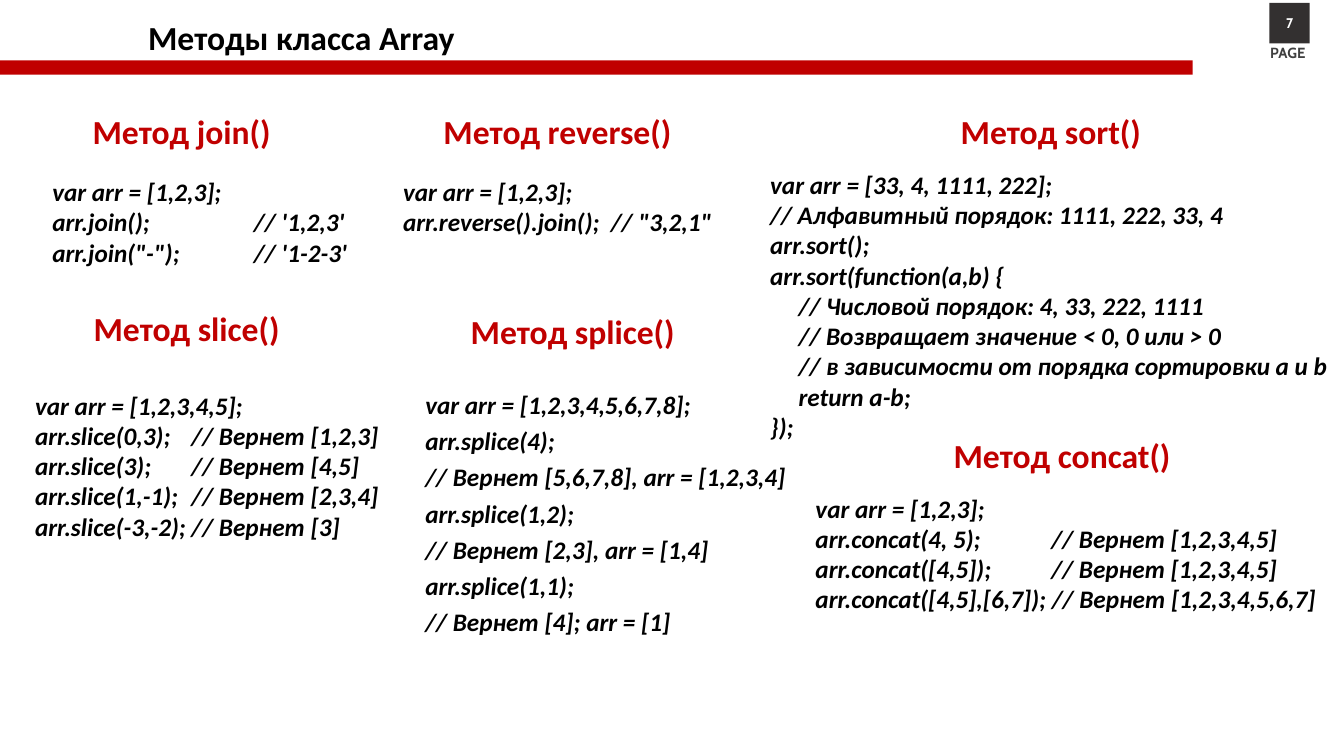
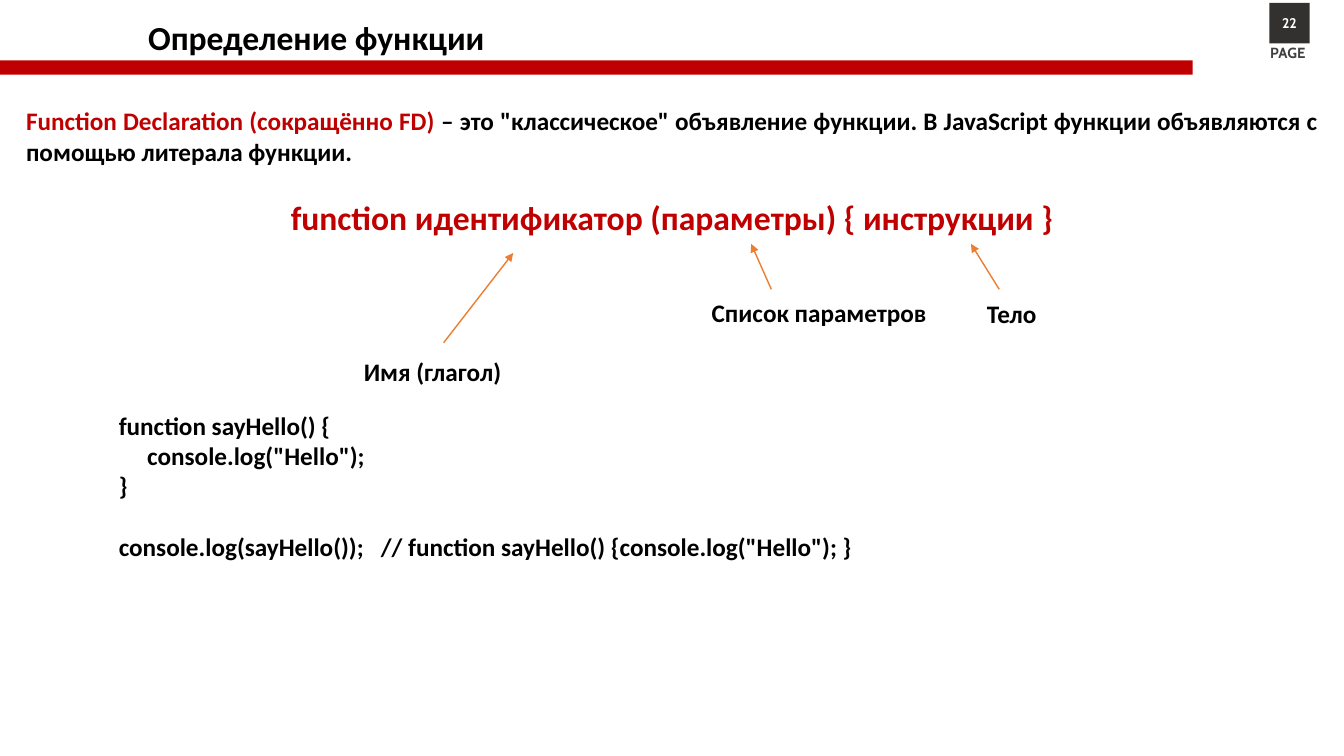
from dataclasses import dataclass

from lxml import etree
from pptx import Presentation
from pptx import util as u
from pptx.dml import color
from pptx.enum import shapes, text
from pptx.oxml import ns

HUES = {"red": "C00000", "black": "000000", "white": "FFFFFF",
        "dark": "333030", "grey": "404040", "arrow": "ED7D31"}
LEFT, MID, JUST = (text.PP_ALIGN.LEFT, text.PP_ALIGN.CENTER,
                   text.PP_ALIGN.JUSTIFY)
BLANK_ROW = 22
Area = tuple[float, float, float, float]


@dataclass(frozen=True)
class Style:
    size: float = 18
    hue: str = "black"
    slant: bool = False
    face: str = "Calibri"


@dataclass(frozen=True)
class Line:
    runs: tuple[tuple[str, Style], ...]
    gap: float = 0
    align: text.PP_ALIGN = LEFT


@dataclass(frozen=True)
class Box:
    area: Area
    lines: tuple[Line, ...]
    wrap: bool = True
    tab: float = 0
    indent: float = 0
    pitch: float = 1.0
    middle: bool = False


@dataclass(frozen=True)
class Method:
    name: str
    head: Area
    area: Area
    code: str
    tab: float = 0
    indent: float = 0
    pitch: float = 1.0


@dataclass(frozen=True)
class Arrow:
    start: tuple[float, float]
    end: tuple[float, float]


PLAIN = Style()
CODE = Style(slant=True)
TITLE = Style(24)
HEAD = Style(24, "red")
TERM = Style(18, "red")
PAGE = Style(10.5, "grey", face="Cabin")
NUMBER = Style(10, "white", face="Cabin")

METHODS = (
    Method("join", (0.82, 1.05, 1.98, 0.5), (0.42, 1.7, 3.19, 1.01),
           """var arr = [1,2,3];
arr.join();\t// '1,2,3'
arr.join("-");\t// '1-2-3'""", tab=2),
    Method("reverse", (4.3, 1.05, 2.48, 0.5), (3.9, 1.7, 4.24, 0.71),
           """var arr = [1,2,3];
arr.reverse().join();\t// "3,2,1\"""", tab=2.06),
    Method("sort", (9.43, 1.05, 2, 0.5), (7.54, 1.63, 5.78, 2.83),
           """var arr = [33, 4, 1111, 222];
// Алфавитный порядок: 1111, 222, 33, 4
arr.sort();
arr.sort(function(a,b) {
     // Числовой порядок: 4, 33, 222, 1111
     // Возвращает значение < 0, 0 или > 0
     // в зависимости от порядка сортировки a и b
     return a-b;
});"""),
    Method("concat", (9.36, 4.27, 2.37, 0.5), (7.99, 4.84, 5.23, 1.31),
           """var arr = [1,2,3];
arr.concat(4, 5);\t// Вернет [1,2,3,4,5]
arr.concat([4,5]);\t// Вернет [1,2,3,4,5]
arr.concat([4,5],[6,7]); // Вернет [1,2,3,4,5,6,7]""", tab=2.34),
    Method("slice", (0.83, 3.01, 2.06, 0.5), (0.25, 3.82, 3.73, 1.62),
           """var arr = [1,2,3,4,5];
arr.slice(0,3);\t// Вернет [1,2,3]
arr.slice(3);\t// Вернет [4,5]
arr.slice(1,-1);\t// Вернет [2,3,4]
arr.slice(-3,-2);\t// Вернет [3]""", tab=1.55),
    Method("splice", (4.57, 3.04, 2.24, 0.5), (3.88, 3.75, 6.67, 2.65),
           """var arr = [1,2,3,4,5,6,7,8];
arr.splice(4);
// Вернет [5,6,7,8], arr = [1,2,3,4]
arr.splice(1,2);
// Вернет [2,3], arr = [1,4]
arr.splice(1,1);
// Вернет [4]; arr = [1]""", indent=0.24, pitch=1.2),
)

HELLO = """function sayHello() {
     console.log("Hello");
}

console.log(sayHello());\t// function sayHello() {console.log("Hello"); }"""

LABELS = (
    ("Имя (глагол)", (3.51, 3.49, 1.58, 0.4)),
    ("Список параметров", (6.96, 2.9, 2.35, 0.4)),
    ("Тело", (9.69, 2.91, 0.7, 0.4)),
)
ARROWS = (
    Arrow((4.4, 3.4), (5.09, 2.51)),
    Arrow((9.91, 2.87), (9.63, 2.42)),
    Arrow((7.65, 2.87), (7.45, 2.42)),
)


def tint(name: str) -> color.RGBColor:
    return color.RGBColor.from_string(HUES[name])


def apply(item, **values) -> None:
    for key, value in values.items():
        setattr(item, key, value)


def single(words: str, style: Style, align: text.PP_ALIGN = LEFT) -> tuple[Line, ...]:
    return (Line(((words, style),), align=align),)


def listing(code: str, style: Style) -> tuple[Line, ...]:
    lines, gap = [], 0
    for row in code.split("\n"):
        if row:
            lines.append(Line(((row, style),), gap))
            gap = 0
        else:
            gap += BLANK_ROW
    return tuple(lines)


def fill_text(frame, box: Box) -> None:
    for index, line in enumerate(box.lines):
        para = frame.add_paragraph() if index else frame.paragraphs[0]
        props = para._p.get_or_add_pPr()
        if box.indent:
            props.set("marL", str(u.Inches(box.indent)))
        if box.tab:
            stops = etree.SubElement(props, ns.qn("a:tabLst"))
            etree.SubElement(stops, ns.qn("a:tab"),
                             pos=str(u.Inches(box.tab)), algn="l")
        apply(para, alignment=line.align, line_spacing=box.pitch)
        if line.gap:
            para.space_before = u.Pt(line.gap)
        for words, style in line.runs:
            run = para.add_run()
            run.text = words
            apply(run.font, name=style.face, size=u.Pt(style.size),
                  bold=True, italic=style.slant)
            run.font.color.rgb = tint(style.hue)


def add_text(slide, box: Box) -> None:
    frame = slide.shapes.add_textbox(*map(u.Inches, box.area)).text_frame
    anchor = text.MSO_ANCHOR.MIDDLE if box.middle else text.MSO_ANCHOR.TOP
    size = (text.MSO_AUTO_SIZE.NONE if box.middle
            else text.MSO_AUTO_SIZE.SHAPE_TO_FIT_TEXT)
    apply(frame, word_wrap=box.wrap, vertical_anchor=anchor, auto_size=size)
    fill_text(frame, box)


def add_block(slide, area: Area, hue: str):
    block = slide.shapes.add_shape(shapes.MSO_SHAPE.RECTANGLE,
                                   *map(u.Inches, area))
    block.shadow.inherit = False
    block.fill.solid()
    block.fill.fore_color.rgb = tint(hue)
    block.line.fill.background()
    return block


def add_arrow(slide, arrow: Arrow) -> None:
    line = slide.shapes.add_connector(
        shapes.MSO_CONNECTOR.STRAIGHT,
        *map(u.Inches, arrow.start + arrow.end))
    line.line.color.rgb = tint("arrow")
    line.line.width = u.Pt(1)
    props = line._element.spPr
    etree.SubElement(props.find(ns.qn("a:ln")), ns.qn("a:tailEnd"),
                     type="triangle")
    etree.SubElement(props, ns.qn("a:effectLst"))


def add_slide(deck, title: str, number: int):
    slide = deck.slides.add_slide(deck.slide_layouts[6])
    add_text(slide, Box((1.37, 0.03, 11.96, 0.72), single(title, TITLE),
                        pitch=0.9, middle=True))
    add_text(slide, Box((12.5, 0.39, 0.59, 0.28), single("PAGE", PAGE),
                        wrap=False))
    area = (12.59, 0.03, 0.4, 0.4)
    badge = add_block(slide, area, "dark")
    badge.text_frame.vertical_anchor = text.MSO_ANCHOR.MIDDLE
    fill_text(badge.text_frame, Box(area, single(str(number), NUMBER, MID)))
    add_block(slide, (0, 0.6, 11.83, 0.14), "red")
    return slide


def draw_array(deck) -> None:
    slide = add_slide(deck, "Методы класса Array", 7)
    for item in METHODS:
        add_text(slide, Box(item.head, single(f"Метод {item.name}()", HEAD),
                            wrap=False))
        add_text(slide, Box(item.area, listing(item.code, CODE), tab=item.tab,
                            indent=item.indent, pitch=item.pitch))


def draw_function(deck) -> None:
    slide = add_slide(deck, "Определение функции", 22)
    add_text(slide, Box((0.16, 1, 13.01, 1.87), (
        Line((("Function Declaration (сокращённо FD)", TERM),
              (" – это \"классическое\" объявление функции. В JavaScript "
               "функции объявляются с помощью литерала функции.", PLAIN)),
             align=JUST),
        Line((("function идентификатор (параметры) { инструкции }", HEAD),),
             BLANK_ROW, MID),
    )))
    for arrow in ARROWS:
        add_arrow(slide, arrow)
    for words, area in LABELS:
        add_text(slide, Box(area, single(words, PLAIN), wrap=False))
    add_text(slide, Box((1.08, 4.02, 8.36, 1.62), listing(HELLO, PLAIN),
                        tab=2.6))


def main() -> None:
    deck = Presentation()
    apply(deck, slide_width=u.Inches(13.33), slide_height=u.Inches(7.5))
    draw_array(deck)
    draw_function(deck)
    deck.save("out.pptx")


if __name__ == "__main__":
    main()
